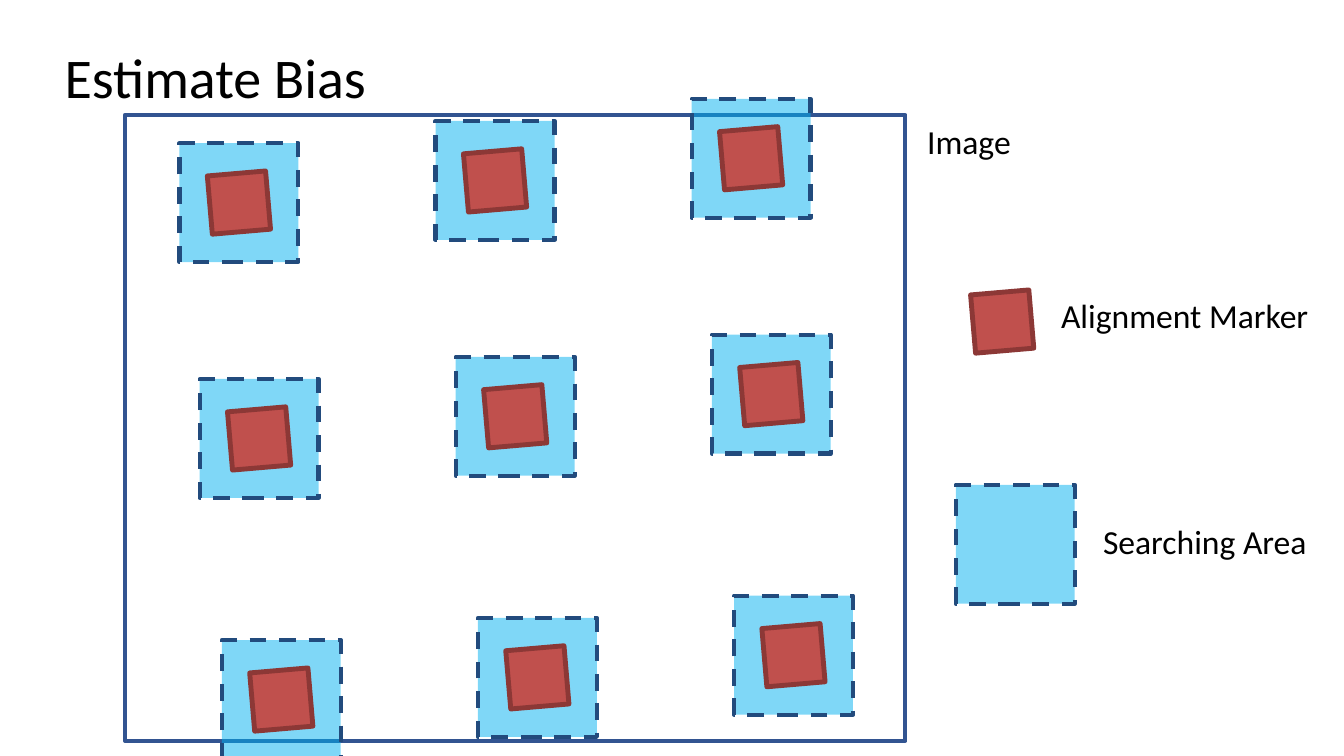
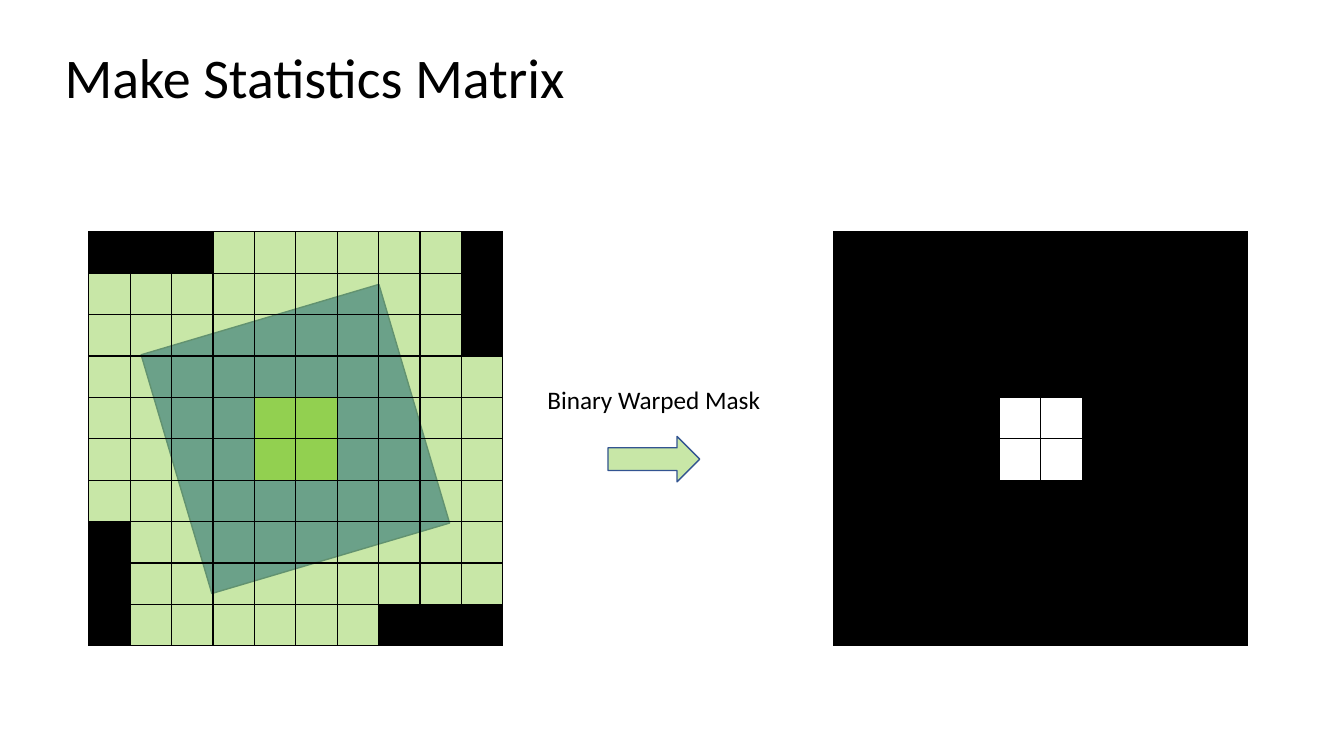
from collections import namedtuple

from lxml.etree import SubElement
from pptx import Presentation
from pptx.dml.color import RGBColor
from pptx.enum.dml import MSO_LINE
from pptx.enum.shapes import MSO_SHAPE
from pptx.enum.text import MSO_ANCHOR, MSO_AUTO_SIZE, PP_ALIGN
from pptx.oxml import parse_xml
from pptx.oxml.ns import nsdecls, qn
from pptx.util import Inches, Pt

Box = namedtuple("Box", "left top width height")

# Shared look
FONT = "Calibri"
BLACK, WHITE = "000000", "FFFFFF"
OUTLINE, GREEN = "325491", "92D050"
TITLE_BOX = Box(0.54, 0.37, 6.28, 0.77)
AREA_SIDE, MARKER_SIDE = 1.18, 0.58
MARKER_TILT = 355.1

# Cell letters: hex colour and opacity in percent
CELL_FILLS = {"#": (BLACK, 100), "o": (GREEN, 50),
              "G": (GREEN, 100), "w": (WHITE, 100)}
WARPED_ROWS = ["###oooooo#", "ooooooooo#", "ooooooooo#", "oooooooooo",
               "ooooGGoooo", "ooooGGoooo", "oooooooooo", "#ooooooooo",
               "#ooooooooo", "#oooooo###"]
MASK_ROWS = ["#" * 10] * 4 + ["####ww####"] * 2 + ["#" * 10] * 4


def rgb(color):
    return RGBColor.from_string(color)


def inches(box):
    return [Inches(length) for length in box]


def paint(fill, properties, color, opacity=100):
    """Solid fill, made translucent in the XML when needed."""
    fill.solid()
    fill.fore_color.rgb = rgb(color)
    if opacity < 100:
        solid = properties.find(qn("a:solidFill"))
        alpha = SubElement(solid[0], qn("a:alpha"))
        alpha.set("val", str(opacity * 1000))


def add_block(shapes, kind, box, line, weight, fill=None, opacity=100, tilt=0):
    block = shapes.add_shape(kind, *inches(box))
    block.shadow.inherit = False
    block.rotation = tilt
    block.line.color.rgb = rgb(line)
    block.line.width = Pt(weight)
    if fill:
        paint(block.fill, block._element.spPr, fill, opacity)
    else:
        block.fill.background()
    return block


def write(frame, text, size, align):
    frame.word_wrap = True
    frame.auto_size = MSO_AUTO_SIZE.NONE
    frame.vertical_anchor = MSO_ANCHOR.TOP
    para = frame.paragraphs[0]
    para.alignment = align
    span = para.add_run()
    span.text = text
    span.font.name = FONT
    span.font.size = Pt(size)
    span.font.color.rgb = rgb(BLACK)


def add_label(page, text, box, size):
    label = page.shapes.add_textbox(*inches(box))
    write(label.text_frame, text, size, PP_ALIGN.CENTER)


def add_page(deck, title):
    page = deck.slides.add_slide(deck.slide_layouts.get_by_name("Title Only"))
    holder = page.shapes.title
    holder.left, holder.top, holder.width, holder.height = inches(TITLE_BOX)
    write(holder.text_frame, title, 40, PP_ALIGN.LEFT)
    return page


def add_area(shapes, left, top):
    area = add_block(shapes, MSO_SHAPE.RECTANGLE,
                     Box(left, top, AREA_SIDE, AREA_SIDE),
                     "224B7D", 3, "00B0F0", 50)
    area.line.dash_style = MSO_LINE.DASH


def add_marker(shapes, left, top):
    add_block(shapes, MSO_SHAPE.RECTANGLE,
              Box(left, top, MARKER_SIDE, MARKER_SIDE),
              "8C3836", 3.5, "C0504D", tilt=MARKER_TILT)


def add_marker_field(page, box):
    """Image frame with a skewed lattice of areas and centred markers."""
    shapes = page.shapes.add_group_shape().shapes
    add_block(shapes, MSO_SHAPE.RECTANGLE, box, OUTLINE, 3)
    row_shifts = [(0, 0), (0.2, 2.34), (0.42, 4.93)]
    corners = [(box.left + 0.54 + across + 2.54 * column,
                box.top + 0.28 + down - 0.22 * column)
               for across, down in row_shifts for column in range(3)]
    for left, top in corners:
        add_area(shapes, left, top)
    inset = (AREA_SIDE - MARKER_SIDE) / 2
    for left, top in corners:
        add_marker(shapes, left + inset, top + inset)


def add_legend(page, box):
    """Key to the right of the frame."""
    left, top = box.left, box.top
    add_label(page, "Image", Box(left, top, 1.18, 0.5), 24)
    add_marker(page.shapes, left + 0.63, top + 1.75)
    add_label(page, "Alignment Marker",
              Box(left + 1.39, top + 1.73, 2.68, 0.5), 24)
    add_area(page.shapes, left + 0.46, top + 3.66)
    add_label(page, "Searching Area",
              Box(left + 1.64, top + 3.97, 2.58, 0.5), 24)


def add_border(cell):
    """Thin black line on every side, placed ahead of the cell's fill."""
    properties = cell._tc.get_or_add_tcPr()
    for place, side in enumerate("LRTB"):
        properties.insert(place, parse_xml(
            f'<a:ln{side} {nsdecls("a")} w="12700"><a:solidFill>'
            f'<a:srgbClr val="{BLACK}"/></a:solidFill></a:ln{side}>'))


def add_matrix(page, box, rows):
    table = page.shapes.add_table(len(rows), len(rows[0]), *inches(box)).table
    table.first_row = table.horz_banding = False
    for column in table.columns:
        column.width = Inches(box.width / len(rows[0]))
    for row in table.rows:
        row.height = Inches(box.height / len(rows))
    for cell, letter in zip(table.iter_cells(), "".join(rows)):
        cell.margin_top = cell.margin_bottom = 0
        paint(cell.fill, cell._tc.get_or_add_tcPr(), *CELL_FILLS[letter])
        add_border(cell)


def add_mask_step(page, box):
    """Caption above an arrow that points right."""
    add_label(page, "Binary Warped Mask",
              Box(box.left, box.top, box.width, 0.4), 18)
    add_block(page.shapes, MSO_SHAPE.DOWN_ARROW,
              Box(box.left + 1.09, box.top + 0.34, 0.45, 0.91),
              OUTLINE, 1, GREEN, 50, tilt=270)


def build_bias_page(deck):
    page = add_page(deck, "Estimate Bias")
    add_marker_field(page, Box(1.24, 1.14, 7.74, 6.21))
    add_legend(page, Box(9.02, 1.15, 4.22, 4.84))


def build_matrix_page(deck):
    page = add_page(deck, "Make Statistics Matrix")
    add_mask_step(page, Box(5.17, 3.76, 2.63, 1.25))
    add_matrix(page, Box(8.27, 2.3, 4.11, 4.11), MASK_ROWS)
    # The tilted square shows through the translucent cells above it
    add_block(page.shapes, MSO_SHAPE.RECTANGLE, Box(1.7, 3.12, 2.46, 2.47),
              OUTLINE, 1, "4472C4", tilt=343.5)
    add_matrix(page, Box(0.88, 2.3, 4.11, 4.11), WARPED_ROWS)


deck = Presentation()
deck.slide_width, deck.slide_height = Inches(13.33), Inches(7.5)
build_bias_page(deck)
build_matrix_page(deck)
deck.save("out.pptx")
